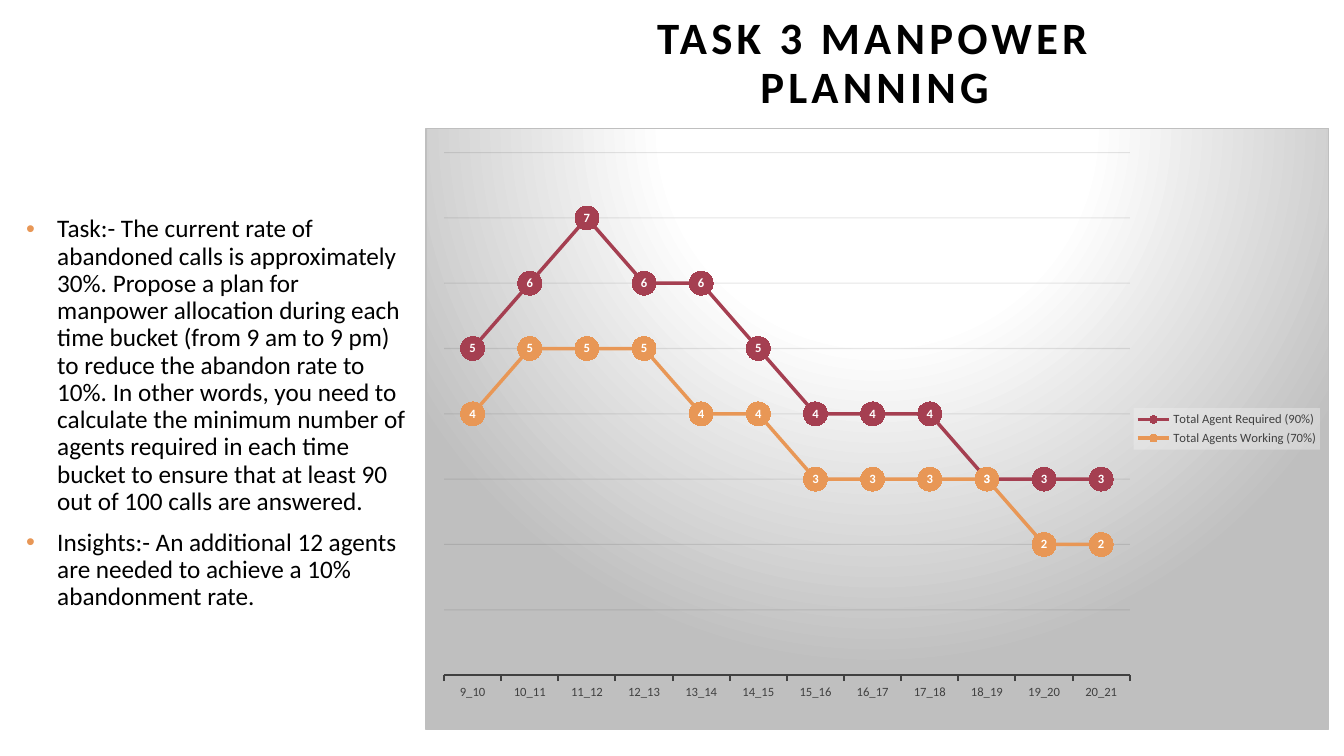
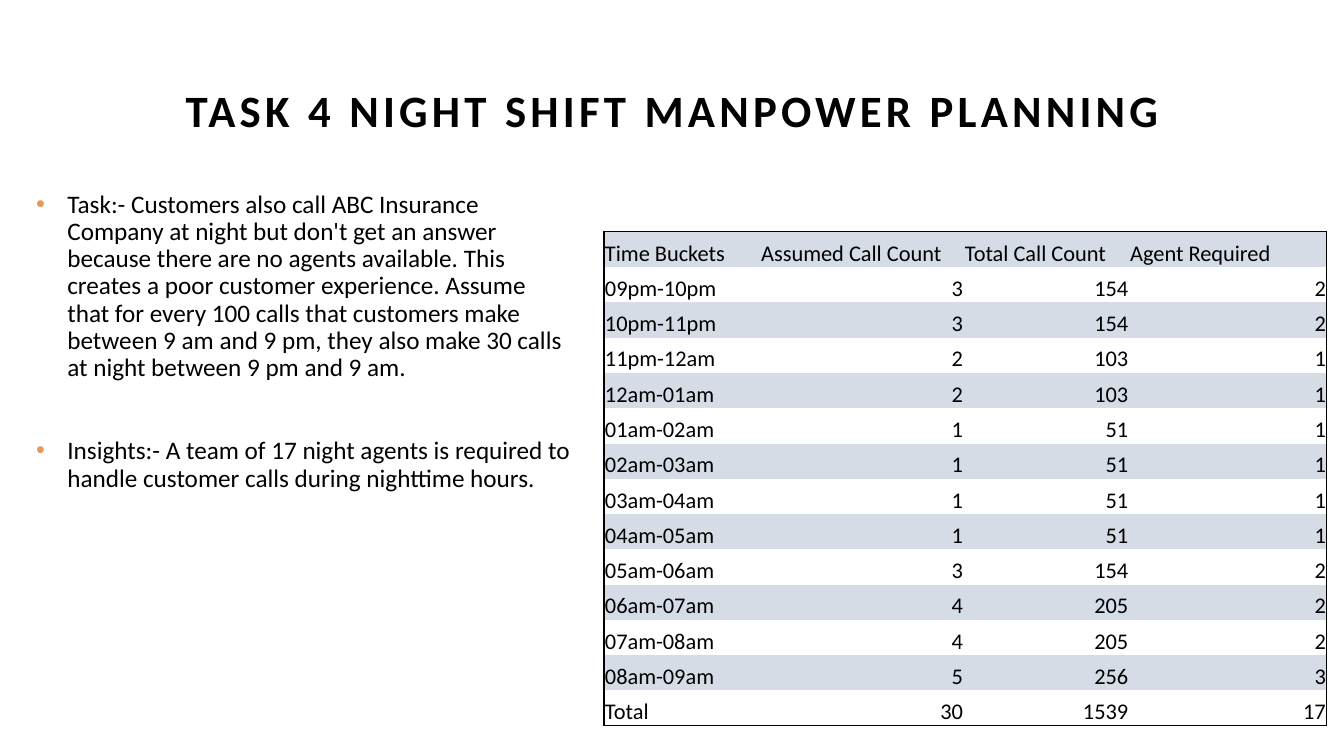
from lxml import etree
from pptx import Presentation
from pptx.chart.data import CategoryChartData
from pptx.dml.color import RGBColor
from pptx.enum.chart import XL_CHART_TYPE as ChartType, XL_LABEL_POSITION as LabelPosition
from pptx.enum.chart import XL_LEGEND_POSITION as LegendPosition, XL_MARKER_STYLE as MarkerStyle
from pptx.enum.chart import XL_TICK_MARK as TickMark
from pptx.enum.text import MSO_ANCHOR as Anchor, MSO_AUTO_SIZE as AutoSize, PP_ALIGN as Align
from pptx.oxml import parse_xml
from pptx.oxml.ns import nsdecls, qn
from pptx.util import Inches, Pt

FONT = "Calibri"
COLORS = {
    "text": "000000", "bullet": "E89756", "band": "D6DCE5", "white": "FFFFFF",
    "axis": "404040", "grid": "0D0D0D", "edge": "BFBFBF", "legend": "F2F2F2",
    "required": "A53F51", "working": "E89756",
}
NO_GRID_STYLE = "{2D5ABB26-0587-4C30-8999-92F81FD0307C}"

DAY_TITLE = "TASK 3 MANPOWER PLANNING"
DAY_POINTS = [
    "Task:- The current rate of abandoned calls is approximately 30%. Propose a plan for manpower "
    "allocation during each time bucket (from 9 am to 9 pm) to reduce the abandon rate to 10%. In other "
    "words, you need to calculate the minimum number of agents required in each time bucket to ensure "
    "that at least 90 out of 100 calls are answered.",
    "Insights:- An additional 12 agents are needed to achieve a 10% abandonment rate.",
]
HOURS = [f"{hour}_{hour + 1}" for hour in range(9, 21)]
AGENT_SERIES = [
    ("Total Agent Required (90%)", "required", (5, 6, 7, 6, 6, 5, 4, 4, 4, 3, 3, 3)),
    ("Total Agents Working (70%)", "working", (4, 5, 5, 5, 4, 4, 3, 3, 3, 3, 2, 2)),
]

NIGHT_TITLE = "TASK 4 NIGHT SHIFT MANPOWER PLANNING"
NIGHT_POINTS = [
    "Task:- Customers also call ABC Insurance Company at night but don't get an answer because there are "
    "no agents available. This creates a poor customer experience. Assume that for every 100 calls that "
    "customers make between 9 am and 9 pm, they also make 30 calls at night between 9 pm and 9 am.",
    "Insights:- A team of 17 night agents is required to handle customer calls during nighttime hours.",
]
NIGHT_ROWS = [
    ("Time Buckets", "Assumed Call Count", "Total Call Count", "Agent Required"),
    ("09pm-10pm", 3, 154, 2),
    ("10pm-11pm", 3, 154, 2),
    ("11pm-12am", 2, 103, 1),
    ("12am-01am", 2, 103, 1),
    ("01am-02am", 1, 51, 1),
    ("02am-03am", 1, 51, 1),
    ("03am-04am", 1, 51, 1),
    ("04am-05am", 1, 51, 1),
    ("05am-06am", 3, 154, 2),
    ("06am-07am", 4, 205, 2),
    ("07am-08am", 4, 205, 2),
    ("08am-09am", 5, 256, 3),
    ("Total", 30, 1539, 17),
]
NIGHT_COLUMNS = (1.55, 2.02, 1.64, 1.96)
ROW_HEIGHT = 0.35


def rgb(name):
    return RGBColor.from_string(COLORS[name])


def style_font(font, size, color="text", bold=False):
    font.name, font.size, font.bold = FONT, Pt(size), bold
    font.color.rgb = rgb(color)


def box(left, top, width, height):
    return [Inches(length) for length in (left, top, width, height)]


def add_titled_slide(presentation, text, area):
    slide = presentation.slides.add_slide(presentation.slide_layouts[5])
    title = slide.shapes.title
    title.left, title.top, title.width, title.height = box(*area)
    frame = title.text_frame
    frame.auto_size, frame.word_wrap = AutoSize.NONE, True
    frame.vertical_anchor = Anchor.MIDDLE
    paragraph = frame.paragraphs[0]
    paragraph.alignment, paragraph.line_spacing = Align.CENTER, 0.9
    run = paragraph.add_run()
    run.text = text
    style_font(run.font, 32, bold=True)
    run.font._element.set("spc", "300")
    return slide


def add_points(slide, points, area, anchor, gap):
    frame = slide.shapes.add_textbox(*box(*area)).text_frame
    frame.word_wrap, frame.vertical_anchor = True, anchor
    for index, point in enumerate(points):
        paragraph = frame.add_paragraph() if index else frame.paragraphs[0]
        properties = paragraph._p.get_or_add_pPr()
        properties.set("marL", str(Inches(0.31)))
        properties.set("indent", str(-Inches(0.31)))
        color = etree.SubElement(properties, qn("a:buClr"))
        etree.SubElement(color, qn("a:srgbClr"), val=COLORS["bullet"])
        etree.SubElement(properties, qn("a:buFont"), typeface="Arial")
        etree.SubElement(properties, qn("a:buChar"), char="•")
        paragraph.line_spacing = 0.9
        paragraph.space_before = Pt(gap if index else 0)
        run = paragraph.add_run()
        run.text = point
        style_font(run.font, 18)


def chart_background():
    stops = "".join(
        f'<a:gs pos="{share * 1000}"><a:srgbClr val="{COLORS[name]}"/></a:gs>'
        for share, name in ((0, "white"), (39, "white"), (100, "edge")))
    return parse_xml(
        f'<c:spPr {nsdecls("c", "a")}><a:gradFill><a:gsLst>{stops}</a:gsLst><a:path path="circle">'
        '<a:fillToRect l="50000" t="-80000" r="50000" b="180000"/></a:path></a:gradFill>'
        f'<a:ln w="9525"><a:solidFill><a:srgbClr val="{COLORS["edge"]}"/></a:solidFill></a:ln></c:spPr>')


def legend_background():
    return parse_xml(
        f'<c:spPr {nsdecls("c", "a")}><a:solidFill><a:srgbClr val="{COLORS["legend"]}">'
        '<a:alpha val="39000"/></a:srgbClr></a:solidFill></c:spPr>')


def place_plot(chart, x, y, w, h):
    plot_area = chart.element.find(".//" + qn("c:plotArea"))
    for old_layout in plot_area.findall(qn("c:layout")):
        plot_area.remove(old_layout)
    layout = etree.Element(qn("c:layout"))
    manual = etree.SubElement(layout, qn("c:manualLayout"))
    settings = dict(layoutTarget="inner", xMode="edge", yMode="edge", x=x, y=y, w=w, h=h)
    for tag, value in settings.items():
        etree.SubElement(manual, qn(f"c:{tag}"), val=str(value))
    plot_area.insert(0, layout)


def style_series(series, color):
    series.smooth = False
    series.format.line.color.rgb = rgb(color)
    series.format.line.width = Pt(2.5)
    marker = series.marker
    marker.style, marker.size = MarkerStyle.CIRCLE, 17
    marker.format.fill.solid()
    marker.format.fill.fore_color.rgb = rgb(color)
    marker.format.line.fill.background()
    labels = series.data_labels
    labels.show_value, labels.position = True, LabelPosition.CENTER
    labels.number_format, labels.number_format_is_linked = "0", False
    style_font(labels.font, 9, "white", bold=True)


def add_agent_chart(slide, area):
    data = CategoryChartData(number_format="0")
    data.categories = HOURS
    for name, _, values in AGENT_SERIES:
        data.add_series(name, values)
    chart = slide.shapes.add_chart(ChartType.LINE_MARKERS, *box(*area), data).chart
    style_font(chart.font, 10)
    chart.has_title = False
    chart.plots[0].vary_by_categories = False
    for series, (_, color, _) in zip(chart.plots[0].series, AGENT_SERIES):
        style_series(series, color)

    hours = chart.category_axis
    hours.major_tick_mark = TickMark.OUTSIDE
    hours.format.line.color.rgb = rgb("axis")
    hours.format.line.width = Pt(1.5)
    style_font(hours.tick_labels.font, 9, "axis")

    agents = chart.value_axis
    agents.minimum_scale, agents.maximum_scale, agents.major_unit = 0, 8, 1
    agents.has_major_gridlines = True
    grid_line = agents.major_gridlines.format.line
    grid_line.color.rgb, grid_line.width = rgb("grid"), Pt(0.75)
    grid_color = agents.major_gridlines._xAx.find(".//" + qn("c:majorGridlines") + "//" + qn("a:srgbClr"))
    etree.SubElement(grid_color, qn("a:alpha"), val="10000")
    agents.visible = False

    chart.has_legend = True
    legend = chart.legend
    legend.position, legend.include_in_layout = LegendPosition.RIGHT, False
    style_font(legend.font, 9, "axis")
    chart.element.find(".//" + qn("c:legend") + "/" + qn("c:overlay")).addnext(legend_background())
    place_plot(chart, 0.02, 0.04, 0.76, 0.87)
    chart.element.find(qn("c:chart")).addnext(chart_background())


def add_borders(cell, sides):
    properties = cell._tc.get_or_add_tcPr()
    for index, side in enumerate(sides):
        properties.insert(index, parse_xml(
            f'<a:ln{side} {nsdecls("a")} w="12700"><a:solidFill>'
            f'<a:srgbClr val="{COLORS["text"]}"/></a:solidFill></a:ln{side}>'))


def add_night_table(slide, left, top):
    row_count, column_count = len(NIGHT_ROWS), len(NIGHT_COLUMNS)
    area = box(left, top, sum(NIGHT_COLUMNS), row_count * ROW_HEIGHT)
    table = slide.shapes.add_table(row_count, column_count, *area).table
    table.horz_banding = False
    table._tbl.tblPr.find(qn("a:tableStyleId")).text = NO_GRID_STYLE
    for column, width in zip(table.columns, NIGHT_COLUMNS):
        column.width = Inches(width)
    for row_index, values in enumerate(NIGHT_ROWS):
        table.rows[row_index].height = Inches(ROW_HEIGHT)
        for column_index, value in enumerate(values):
            cell = table.cell(row_index, column_index)
            cell.margin_left = cell.margin_right = cell.margin_top = Inches(0.01)
            cell.margin_bottom = 0
            cell.vertical_anchor = Anchor.BOTTOM
            if row_index % 2:
                cell.fill.background()
            else:
                cell.fill.solid()
                cell.fill.fore_color.rgb = rgb("band")
            if row_index == row_count - 1:
                cell.fill.background()
            edges = {"L": column_index == 0, "R": column_index == column_count - 1,
                     "T": row_index == 0, "B": row_index == row_count - 1}
            add_borders(cell, [side for side, outer in edges.items() if outer])
            paragraph = cell.text_frame.paragraphs[0]
            paragraph.alignment = Align.RIGHT if isinstance(value, int) else Align.LEFT
            run = paragraph.add_run()
            run.text = str(value)
            style_font(run.font, 16)


def main():
    presentation = Presentation()
    presentation.slide_width, presentation.slide_height = Inches(13.33), Inches(7.5)

    day_slide = add_titled_slide(presentation, DAY_TITLE, (5.42, 0.16, 6.51, 0.96))
    add_points(day_slide, DAY_POINTS, (0.16, 1.12, 4.06, 5.97), Anchor.MIDDLE, gap=10)
    add_agent_chart(day_slide, (4.22, 1.27, 8.96, 5.97))

    night_slide = add_titled_slide(presentation, NIGHT_TITLE, (0.92, 0.4, 11.5, 1.45))
    add_points(night_slide, NIGHT_POINTS, (0.26, 1.85, 5.52, 5.25), Anchor.TOP, gap=40)
    add_night_table(night_slide, 5.99, 2.3)

    presentation.save("out.pptx")


if __name__ == "__main__":
    main()
